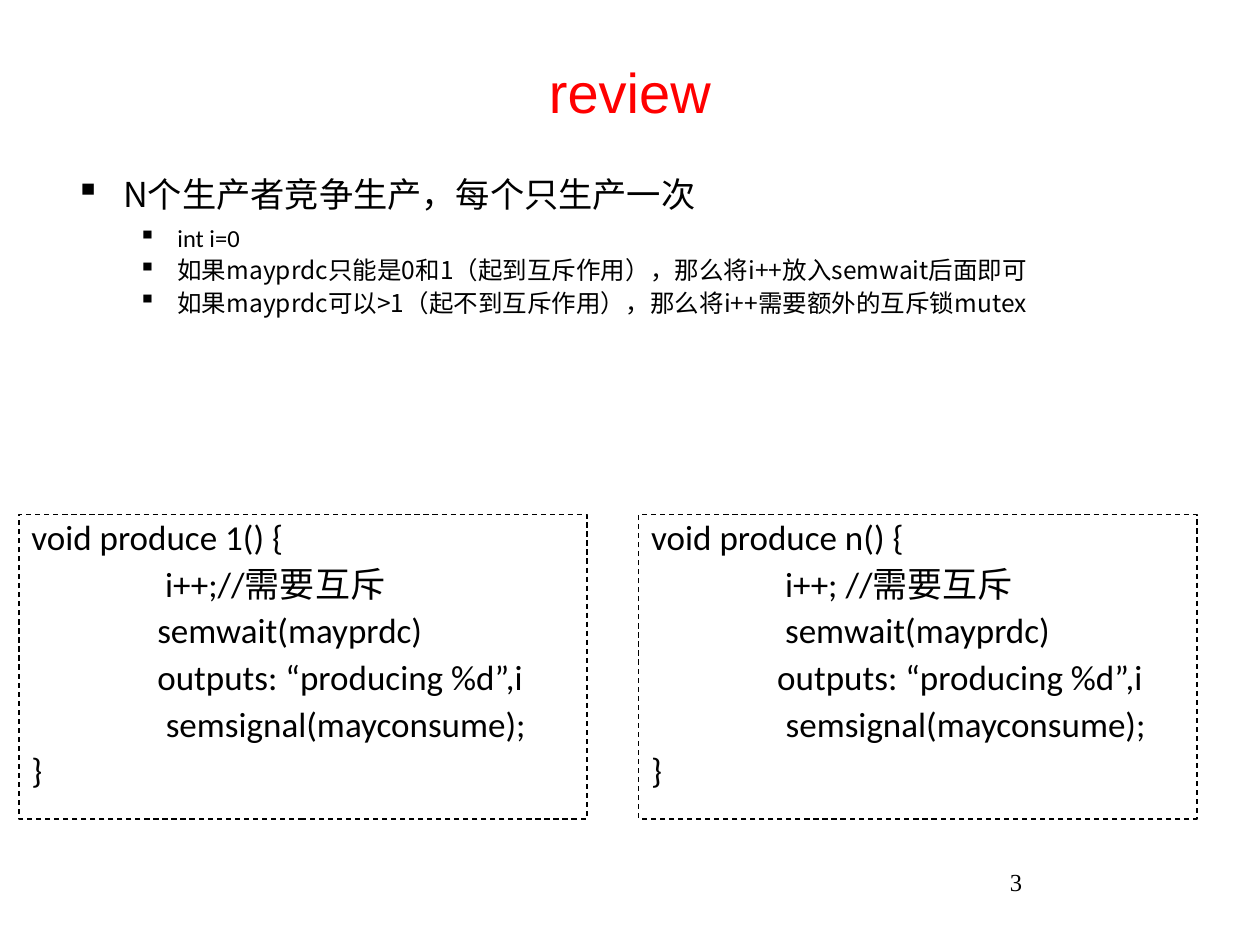
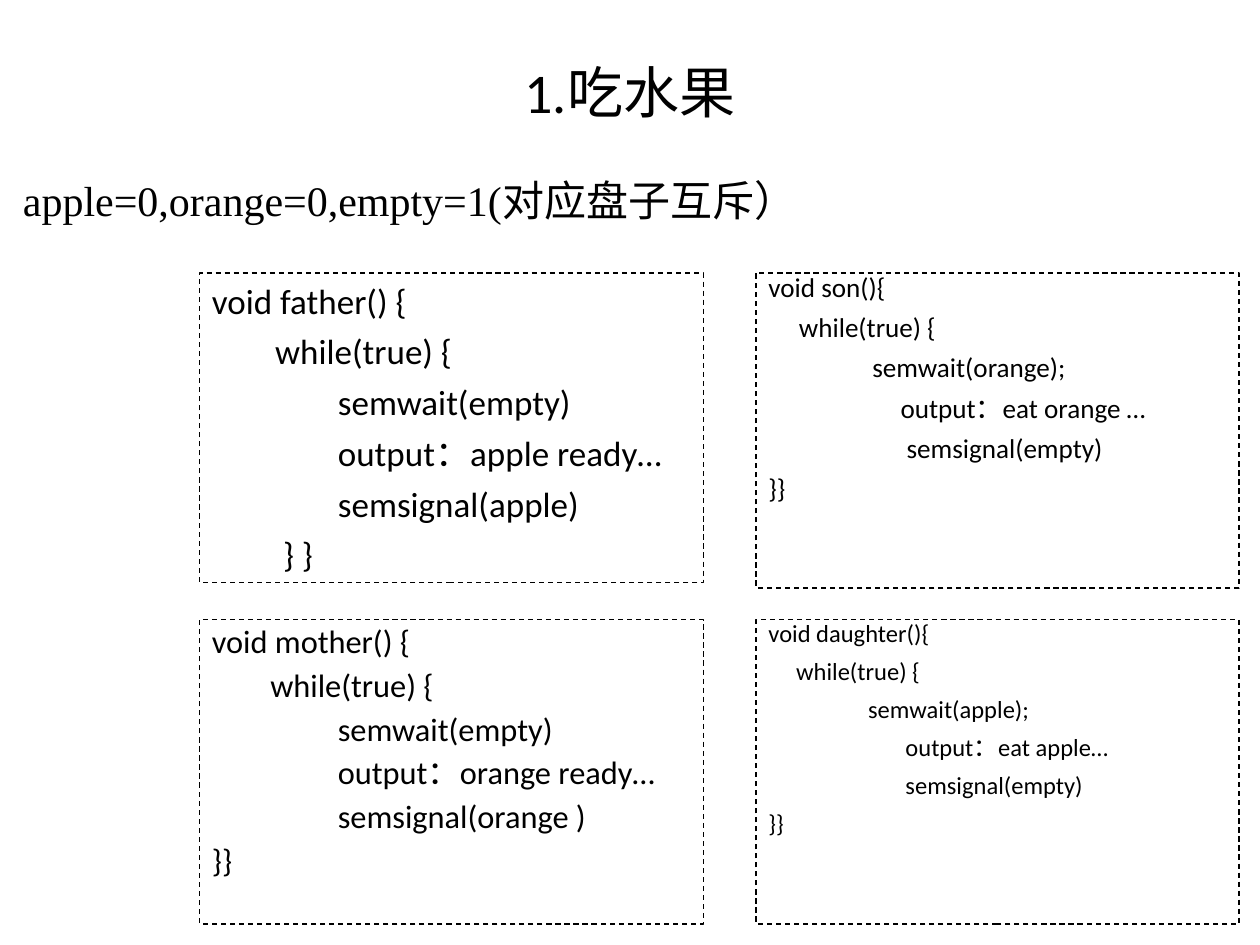
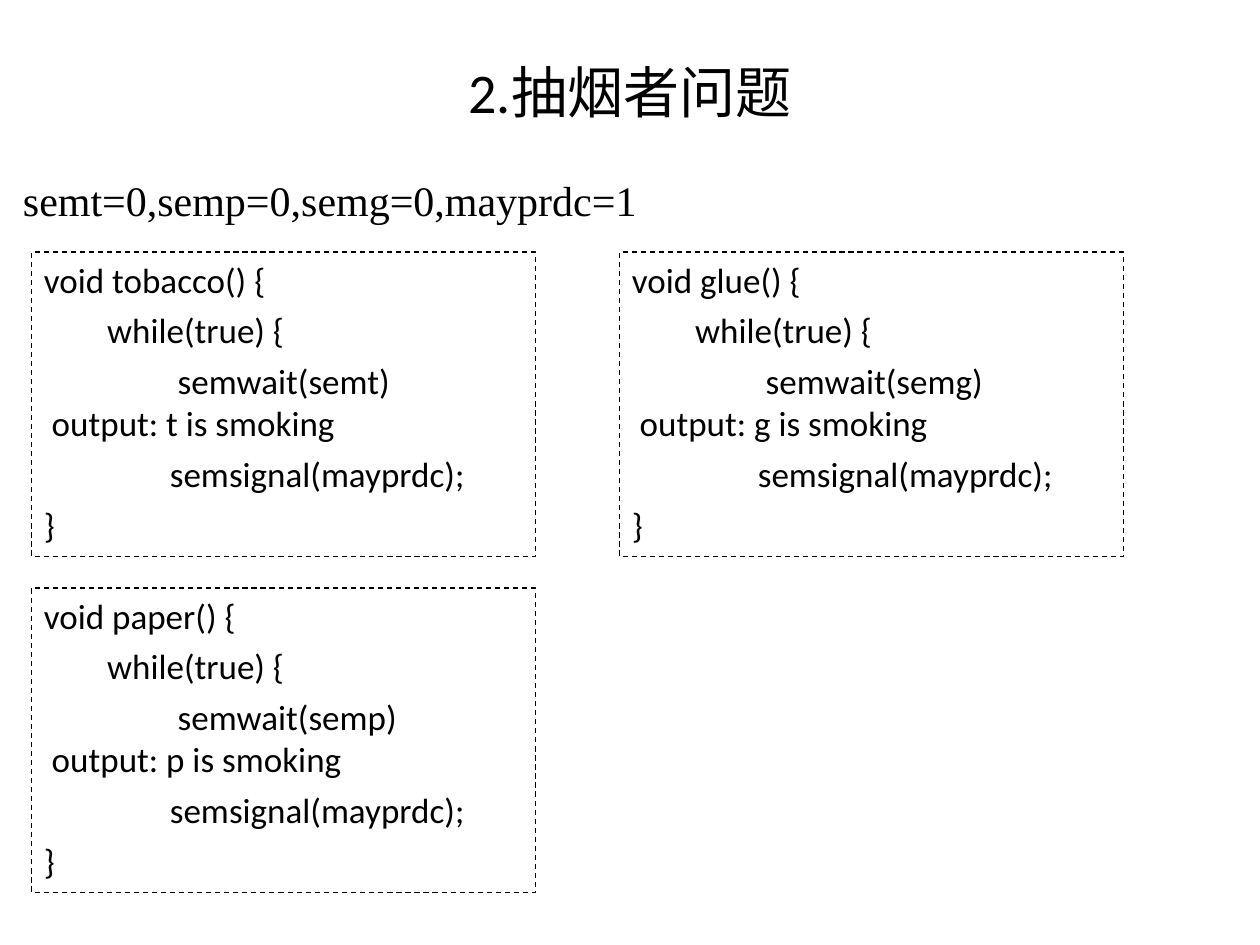
from lxml import etree
from pptx import Presentation
from pptx import util as u
from pptx.dml.color import RGBColor
from pptx.enum import dml, shapes, text
from pptx.oxml.ns import qn

BLACK = RGBColor(0, 0, 0)
RED = RGBColor(0xFF, 0, 0)
CODE_FONT = "Calibri"
SERIF = "Times New Roman"
CJK = "Noto Sans CJK SC"

# The slide is a grid of 120 columns by 90 rows; boxes are (left, top, width, height)
UNIT = u.Inches(10) // 120
TITLE_BOX = (0, 3.6, 120, 10.2)
SEMAPHORE_BOX = (1, 16, 81, 6)


def place(box):
    return [round(length * UNIT) for length in box]


def add_tabs(paragraph):
    stops = etree.SubElement(paragraph._p.get_or_add_pPr(), qn("a:tabLst"))
    for inch in range(1, 9):
        etree.SubElement(stops, qn("a:tab"), pos=str(u.Inches(inch)), algn="l")


def add_bullet(paragraph, margin, hang):
    properties = paragraph._p.get_or_add_pPr()
    properties.set("marL", str(u.Inches(margin)))
    properties.set("indent", str(-u.Inches(hang)))
    etree.SubElement(properties, qn("a:buChar"), char="▪")


def style(paragraph, size, font, color=BLACK):
    paragraph.font.size = u.Pt(size)
    paragraph.font.name = font
    paragraph.font.color.rgb = color


def paragraphs(frame, lines):
    """Yield one paragraph per line, filled with its text."""
    for index, line in enumerate(lines):
        paragraph = frame.add_paragraph() if index else frame.paragraphs[0]
        paragraph.text = line
        yield index, paragraph


def add_label(slide, box, wording, size, font, color=BLACK,
              align=text.PP_ALIGN.LEFT, anchor=text.MSO_ANCHOR.TOP):
    frame = slide.shapes.add_textbox(*place(box)).text_frame
    frame.word_wrap = True
    frame.vertical_anchor = anchor
    label = frame.paragraphs[0]
    label.text = wording
    label.alignment = align
    style(label, size, font, color)


def add_title(slide, wording, font=CODE_FONT, color=BLACK):
    add_label(slide, TITLE_BOX, wording, 32, font, color,
              text.PP_ALIGN.CENTER, text.MSO_ANCHOR.MIDDLE)


def add_bullets(slide, box, items):
    """Items are (level, wording, size, font, line spacing)."""
    frame = slide.shapes.add_textbox(*place(box)).text_frame
    frame.word_wrap = True
    for index, paragraph in paragraphs(frame, [item[1] for item in items]):
        level, _, size, font, spacing = items[index]
        paragraph.level = level
        add_bullet(paragraph, *((0.81, 0.31) if level else (0.38, 0.38)))
        paragraph.line_spacing = spacing
        if index:
            paragraph.space_before = u.Pt(5)
        style(paragraph, size, font)


def add_code(slide, box, lines, size=20, spacing=1.0, before=5):
    """Dashed frame with a listing."""
    listing = slide.shapes.add_shape(shapes.MSO_SHAPE.RECTANGLE, *place(box))
    listing.shadow.inherit = False
    listing.fill.background()
    listing.line.color.rgb = BLACK
    listing.line.width = u.Pt(0.75)
    listing.line.dash_style = dml.MSO_LINE.DASH
    frame = listing.text_frame
    frame.word_wrap = True
    frame.vertical_anchor = text.MSO_ANCHOR.TOP
    for index, paragraph in paragraphs(frame, lines):
        add_tabs(paragraph)
        paragraph.alignment = text.PP_ALIGN.LEFT
        paragraph.line_spacing = spacing
        if index:
            paragraph.space_before = u.Pt(before)
        style(paragraph, size, CODE_FONT)


def smoker(name, letter):
    return [f"void {name}() {{", "        while(true) {",
            f"\t semwait(sem{letter})\v output: {letter} is smoking",
            "\tsemsignal(mayprdc);", "}"]


def producer(name, count, wait):
    return [f"void produce {name}() {{", count, wait,
            "\toutputs: “producing %d”,i",
            "                 semsignal(mayconsume);", "}"]


def parent(name, fruit, closing, gap=""):
    return [f"void {name}() {{", "        while(true) {", "\tsemwait(empty)",
            f"\toutput：{fruit} ready…", f"\tsemsignal({fruit}{gap})", closing]


def child(name, wait, output):
    return [f"void {name}(){{", "     while(true) {", wait, output,
            "\t  semsignal(empty)", "}}"]


def review_slide(slide):
    add_title(slide, "review", "Arial", RED)
    add_bullets(slide, (6, 16.68, 108, 19.32), [
        (0, "N个生产者竞争生产，每个只生产一次", 19.6, CJK, 0.8),
        (1, "int i=0", 14, CODE_FONT, 1.0),
        (1, "如果mayprdc只能是0和1（起到互斥作用），那么将i++放入semwait后面即可",
         14, CJK, 0.8),
        (1, "如果mayprdc可以>1（起不到互斥作用），那么将i++需要额外的互斥锁mutex",
         14, CJK, 0.8),
    ])
    add_label(slide, (95, 82, 25, 6), "3", 14, SERIF)
    add_code(slide, (1.8, 49, 54.12, 29),
             producer("1", "\t i++;//需要互斥", "\tsemwait(mayprdc)"), spacing=0.9)
    add_code(slide, (60.84, 49, 53.16, 29),
             producer("n", "\t i++; //需要互斥", "\t semwait(mayprdc)"), spacing=0.9)


def process_slide(slide, title, semaphores, listings):
    """Listings are (box, lines, size, line spacing, space before)."""
    add_title(slide, title)
    add_label(slide, SEMAPHORE_BOX, semaphores, 24, SERIF)
    for listing in listings:
        add_code(slide, *listing)


def main():
    deck = Presentation()
    deck.slide_width, deck.slide_height = 120 * UNIT, 90 * UNIT
    blank = deck.slide_layouts[6]

    review_slide(deck.slides.add_slide(blank))

    # Parents on the left, children on the right
    process_slide(
        deck.slides.add_slide(blank), "1.吃水果",
        "apple=0,orange=0,empty=1(对应盘子互斥）", [
            ((19, 26, 48, 29.5), parent("father", "apple", "         } }")),
            ((72, 26, 46, 30), child("son", "                 semwait(orange);",
                                     "\t output：eat orange …"), 15.5, 0.7, 10),
            ((19, 59, 48, 29), parent("mother", "orange", "}}", " "), 18.5, 0.9),
            ((72, 59, 46, 29), child("daughter", "                  semwait(apple);",
                                     "\t  output：eat apple…"), 14, 0.7, 10),
        ])

    # Smokers fill a two-column grid row by row
    smokers = [("tobacco", "t"), ("glue", "g"), ("paper", "p")]
    process_slide(
        deck.slides.add_slide(blank), "2.抽烟者问题",
        "semt=0,semp=0,semg=0,mayprdc=1",
        [((3 + 56 * (i % 2), 24 + 32 * (i // 2), 48, 29), smoker(*who))
         for i, who in enumerate(smokers)])

    deck.save("out.pptx")


if __name__ == "__main__":
    main()
